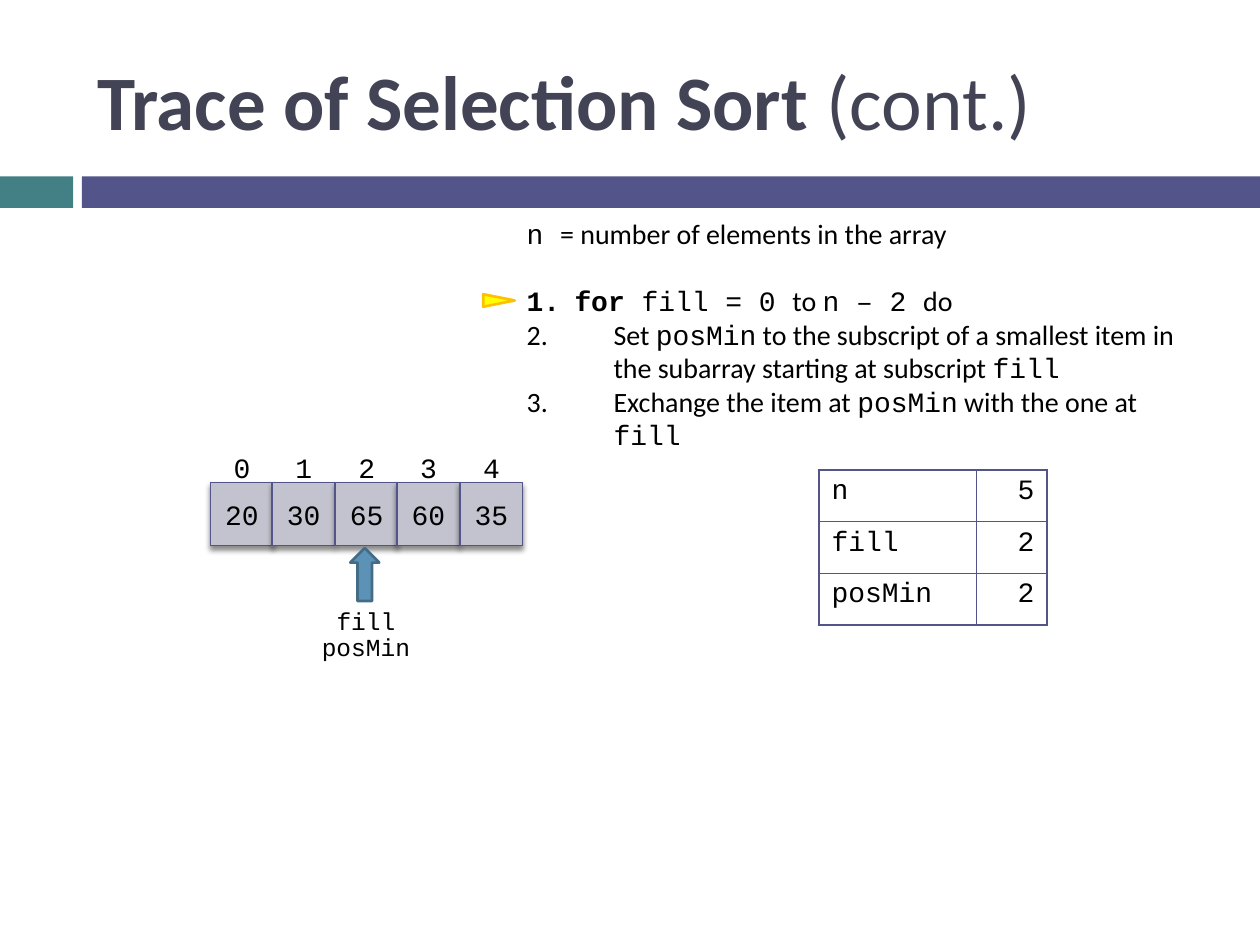
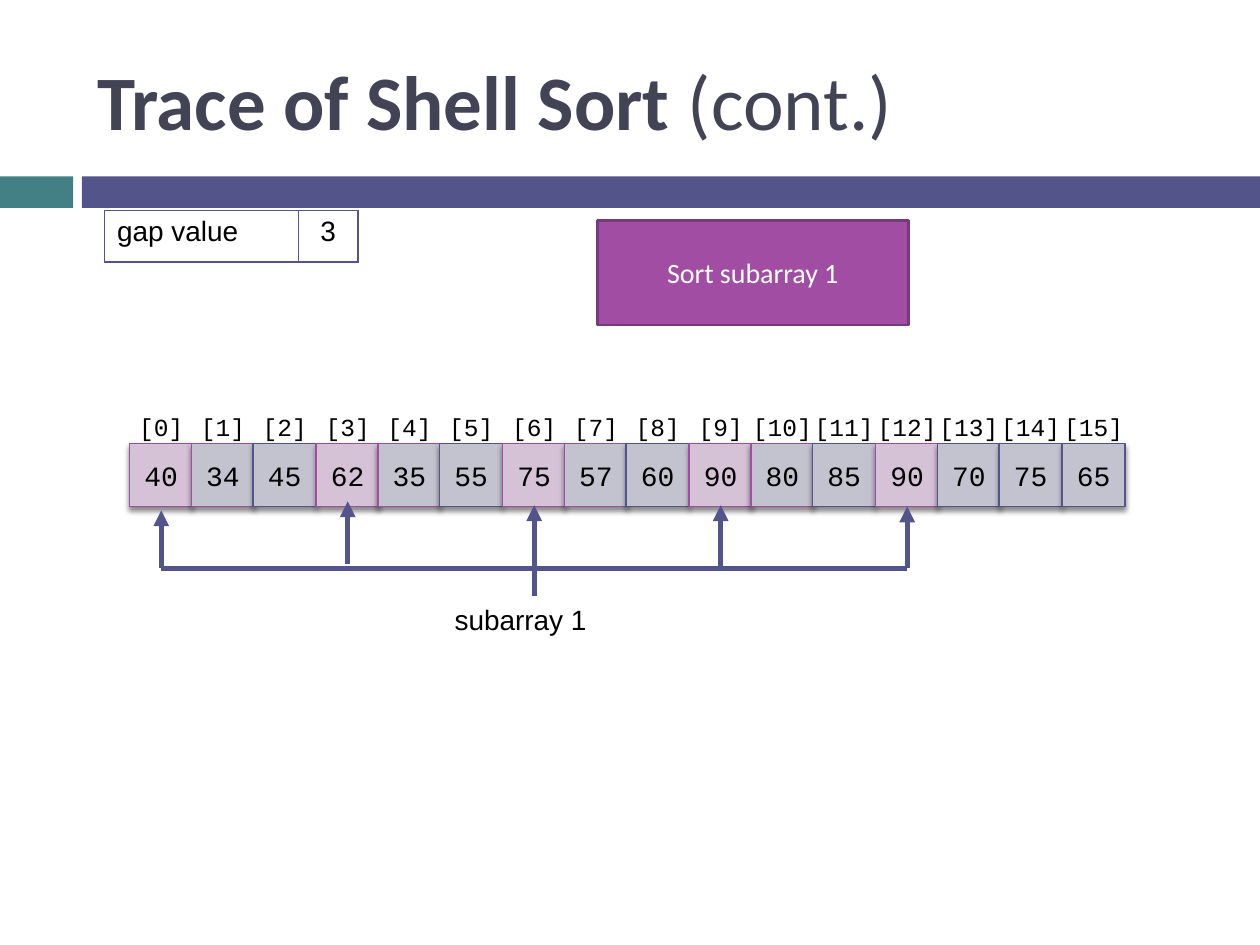
from lxml import etree
from pptx import Presentation, util as u
from pptx.dml.color import RGBColor
from pptx.enum import shapes, text
from pptx.oxml import ns

BLACK = RGBColor(0x00, 0x00, 0x00)
WHITE = RGBColor(0xFF, 0xFF, 0xFF)
SLATE = RGBColor(0x42, 0x44, 0x56)
INDIGO = RGBColor(0x53, 0x54, 0x8A)
TEAL = RGBColor(0x43, 0x80, 0x86)
GREY = RGBColor(0xC3, 0xC3, 0xCF)
PINK = RGBColor(0xD6, 0xC2, 0xD7)
PURPLE = RGBColor(0xA0, 0x4D, 0xA3)
PLUM = RGBColor(0x76, 0x39, 0x79)
BLUE = RGBColor(0x5C, 0x92, 0xB5)
NAVY = RGBColor(0x44, 0x6C, 0x86)
YELLOW = RGBColor(0xFF, 0xFF, 0x00)
AMBER = RGBColor(0xFF, 0xC0, 0x00)

SCALE = 9144
SANS, CODE, ARIAL = "Calibri", "Courier New", "Arial"
LEFT, MID, RIGHT = text.PP_ALIGN.LEFT, text.PP_ALIGN.CENTER, text.PP_ALIGN.RIGHT
SHAPE = shapes.MSO_SHAPE


def px(n):
    return u.Emu(n * SCALE)


def put(item, **vals):
    for key, val in vals.items():
        setattr(item, key, val)


def add(node, tag, **vals):
    return etree.SubElement(node, ns.qn(tag), {k: str(v) for k, v in vals.items()})


class Deck:
    def __init__(self):
        self.file = Presentation()
        put(self.file, slide_width=px(1000), slide_height=px(750))
        self.slide = None

    def page(self, name, layout):
        self.slide = self.file.slides.add_slide(self.file.slide_layouts[layout])
        title = self.slide.shapes.title
        self.place(title, 67, 25, 892, 108)
        title.text_frame.vertical_anchor = text.MSO_ANCHOR.MIDDLE
        para = title.text_frame.paragraphs[0]
        para.alignment = LEFT
        self.run(para, name + " ", size=44, color=SLATE, bold=True)
        self.run(para, "(cont.)", size=44, color=SLATE)

    def place(self, item, x, y, w, h):
        put(item, left=px(x), top=px(y), width=px(w), height=px(h))

    def run(self, para, words, name=SANS, size=16, color=BLACK, bold=False):
        run = para.add_run()
        run.text = words
        put(run.font, name=name, size=u.Pt(size), bold=bold)
        run.font.color.rgb = color

    def band(self, x, w, fill):
        item = self.box(x, 140, w, 25, fill)
        self.file.slide_master.shapes.element.insert(2, item.element)

    def box(self, x, y, w, h, fill, line=None, width=1.5, kind=SHAPE.RECTANGLE, turn=0):
        item = self.slide.shapes.add_shape(kind, px(x), px(y), px(w), px(h))
        item.rotation = turn
        item.shadow.inherit = False
        item.fill.solid()
        item.fill.fore_color.rgb = fill
        if line is None:
            item.line.fill.background()
        else:
            item.line.color.rgb = line
            item.line.width = u.Pt(width)
        return item

    def fill_in(self, item, words, align=MID, **font):
        para = item.text_frame.paragraphs[0]
        para.alignment = align
        self.run(para, words, **font)

    def label(self, x, y, w, h, words, align=MID, **font):
        item = self.slide.shapes.add_textbox(px(x), px(y), px(w), px(h))
        put(item.text_frame, word_wrap=True,
            auto_size=text.MSO_AUTO_SIZE.SHAPE_TO_FIT_TEXT)
        self.fill_in(item, words, align, **font)

    def cell(self, x, y, words, fill, line):
        item = self.box(x, y, 50, 50, fill, line, 0.79)
        self.fill_in(item, words, name=CODE)
        glow = item.element.spPr.find(ns.qn("a:effectLst"))
        drop = add(glow, "a:outerShdw", blurRad=u.Pt(3), dist=u.Pt(2.4),
                   dir=5400000, rotWithShape=0)
        add(add(drop, "a:srgbClr", val=BLACK), "a:alpha", val=45000)

    def array(self, first, last, y, nums, tag, size, wide, paint):
        spots = [first + (last - first) * i // (len(nums) - 1) for i in range(len(nums))]
        for i, (x, num) in enumerate(zip(spots, nums)):
            self.cell(x, y, str(num), *paint(i))
        for i, x in enumerate(spots):
            self.label(x + 25 - wide // 2, y - 30, wide, 35, tag.format(i),
                       name=CODE, size=size)
        return [x + 25 for x in spots]

    def line(self, x1, y1, x2, y2, head=False):
        item = self.slide.shapes.add_connector(
            shapes.MSO_CONNECTOR.STRAIGHT, px(x1), px(y1), px(x2), px(y2))
        item.line.color.rgb = INDIGO
        item.line.width = u.Pt(3)
        props = item.element.spPr
        if head:
            add(props.find(ns.qn("a:ln")), "a:headEnd", type="triangle")
        add(props, "a:effectLst")

    def table(self, x, y, cols, rows, align, name):
        frame = self.slide.shapes.add_table(
            len(rows), len(cols), px(x), px(y), px(sum(cols)), px(41 * len(rows)))
        grid = frame.table
        put(grid, first_row=False, horz_banding=False)
        for col, wide in zip(grid.columns, cols):
            col.width = px(wide)
        for row, words in zip(grid.rows, rows):
            row.height = px(41)
            for cell, word, side in zip(row.cells, words, (LEFT, align)):
                cell.fill.background()
                self.fill_in(cell, word, side, name=name)
        for props in frame.element.iter(ns.qn("a:tcPr")):
            for i, edge in enumerate("LRTB"):
                rule = add(props, "a:ln" + edge, w=u.Pt(1))
                add(add(rule, "a:solidFill"), "a:srgbClr", val=INDIGO)
                props.insert(i, rule)

    def steps(self, x, y, w, h, items):
        body = self.slide.placeholders[1]
        self.place(body, x, y, w, h)
        frame = body.text_frame
        frame.auto_size = text.MSO_AUTO_SIZE.NONE
        for i, (dent, gap, parts) in enumerate(items):
            para = frame.add_paragraph() if i else frame.paragraphs[0]
            put(para, space_before=u.Pt(gap), alignment=LEFT)
            props = para._p.get_or_add_pPr()
            props.set("marL", str(px(dent)))
            props.set("indent", str(px(-dent)))
            if dent:
                add(props, "a:buFontTx")
                add(props, "a:buAutoNum", type="arabicPeriod")
            else:
                add(props, "a:buNone")
            for words, name, *bold in parts:
                self.run(para, words, name, bold=bool(bold))


def selection(deck):
    deck.page("Trace of Selection Sort", 1)
    deck.band(0, 58, TEAL)
    deck.band(65, 935, INDIGO)
    deck.steps(408, 167, 558, 172, [
        (0, 0, [("n ", CODE), ("= number of elements in the array", SANS)]),
        (38, 19, [("for", CODE, True), (" fill = 0 ", CODE), ("to ", SANS),
                  ("n – 2 ", CODE), ("do", SANS)]),
        (69, 0, [("Set ", SANS), ("posMin", CODE),
                 (" to the subscript of a smallest item in the subarray"
                  " starting at subscript ", SANS), ("fill", CODE)]),
        (69, 0, [("Exchange the item at ", SANS), ("posMin", CODE),
                 (" with the one at ", SANS), ("fill", CODE)]),
    ])
    deck.array(167, 365, 383, [20, 30, 65, 60, 35], "{}", 16, 48,
               lambda i: (GREY, INDIGO))
    deck.table(650, 373, [125, 56], [("n", "5"), ("fill", "2"), ("posMin", "2")],
               RIGHT, CODE)
    deck.box(278, 435, 23, 42, BLUE, NAVY, kind=SHAPE.DOWN_ARROW, turn=180)
    for y, words in ((476, "fill"), (497, "posMin")):
        deck.label(237, y, 107, 34, words, name=CODE, size=14)
    deck.box(391, 226, 10, 25, YELLOW, AMBER, kind=SHAPE.ISOSCELES_TRIANGLE, turn=90)


def shell(deck):
    deck.page("Trace of Shell Sort", 5)
    marks = range(0, 13, 3)
    nums = [40, 34, 45, 62, 35, 55, 75, 57, 60, 90, 80, 85, 90, 70, 75, 65]
    mids = deck.array(103, 843, 352, nums, "[{}]", 14, 68, lambda i: (
        PINK if i in marks else GREY, PURPLE if i < 13 and i % 3 < 2 else INDIGO))
    deck.table(83, 167, [154, 47], [("gap value", "3")], MID, ARIAL)
    note = deck.box(474, 175, 247, 83, PURPLE, PLUM)
    deck.fill_in(note, "Sort subarray 1", color=WHITE)
    deck.label(351, 473, 313, 37, "subarray 1", LEFT, name=ARIAL)
    for i, top in zip(marks, (405, 398, 401, 401, 402)):
        deck.line(mids[i], top, mids[i], min(451, top + 50), head=True)
    deck.line(mids[0], 451, mids[12], 451)
    deck.line(mids[6], 451, mids[6], 473)


def main():
    deck = Deck()
    selection(deck)
    shell(deck)
    deck.file.save("out.pptx")


if __name__ == "__main__":
    main()
